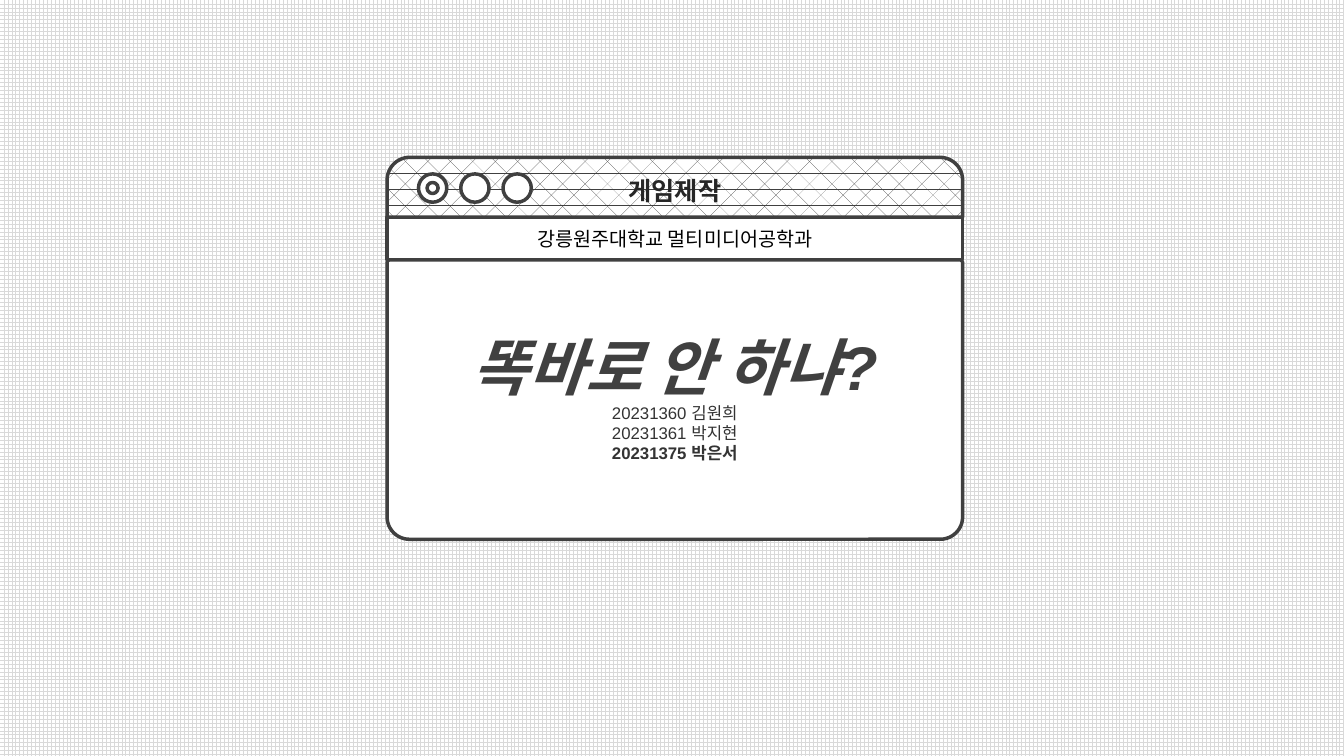
from pptx import Presentation
from pptx.dml.color import RGBColor
from pptx.enum.dml import MSO_PATTERN as PATTERN
from pptx.enum.shapes import MSO_SHAPE as SHAPE
from pptx.enum.text import MSO_ANCHOR as ANCHOR, PP_ALIGN as ALIGN
from pptx.util import Pt

COLORS = {"outline": "404040", "paper": "FFFFFF", "grid": "D9D9D9",
          "course": "262626", "member": "333333", "department": "000000"}
COURSE = "게임제작"
DEPARTMENT = "강릉원주대학교 멀티미디어공학과"
TEAM = "똑바로 안 하냐?"
MEMBERS = [("20231360 김원희", False), ("20231361 박지현", False), ("20231375 박은서", True)]

WINDOW_LEFT, WINDOW_WIDTH = 276.5, 411.1
BAR_TOP, BAND_TOP, PAGE_TOP, PAGE_BOTTOM = 112.4, 155.2, 185.6, 385.2
BUTTON_LEFT, BUTTON_TOP, BUTTON_SIZE, BUTTON_PITCH = 298.9, 124.2, 20.2, 30.2
BUTTON_COUNT, DOT_SIZE = 3, 7.9
PAGE_INSET = 31.2


def color(key):
    """Return the named colour."""
    return RGBColor.from_string(COLORS[key])


def add_outlined(slide, kind, left, top, width, height, corners=()):
    """Add a white shape with the thick dark outline."""
    shape = slide.shapes.add_shape(kind, Pt(left), Pt(top), Pt(width), Pt(height))
    for index, corner in enumerate(corners):
        shape.adjustments[index] = corner
    shape.shadow.inherit = False
    shape.fill.solid()
    shape.fill.fore_color.rgb = color("paper")
    shape.line.color.rgb = color("outline")
    shape.line.width = Pt(2.5)
    return shape


def set_pattern(fill, pattern, ink):
    """Fill with a pattern drawn on white."""
    fill.patterned()
    fill.pattern = pattern
    fill.fore_color.rgb = color(ink)
    fill.back_color.rgb = color("paper")


def write(shape, text, size, ink, bold=False, italic=False, spacing=None):
    """Write a centred paragraph after any text already in the shape."""
    frame = shape.text_frame
    frame.word_wrap = True
    frame.vertical_anchor = ANCHOR.MIDDLE
    paragraph = frame.add_paragraph() if frame.text else frame.paragraphs[0]
    paragraph.alignment = ALIGN.CENTER
    if spacing:
        paragraph.line_spacing = spacing
    run = paragraph.add_run()
    run.text = text
    font = run.font
    font.name, font.size, font.bold, font.italic = "Arial", Pt(size), bold, italic
    font.color.rgb = color(ink)


def main():
    """Build the title slide."""
    deck = Presentation()
    deck.slide_width, deck.slide_height = Pt(960), Pt(540)
    slide = deck.slides.add_slide(deck.slide_layouts[6])
    set_pattern(slide.background.fill, PATTERN.LARGE_GRID, "grid")

    page = add_outlined(slide, SHAPE.ROUND_2_SAME_RECTANGLE, WINDOW_LEFT, PAGE_TOP,
                        WINDOW_WIDTH, PAGE_BOTTOM - PAGE_TOP, (0.01, 0.08))
    page.text_frame.margin_bottom = Pt(PAGE_INSET)
    write(page, TEAM, 44, "outline", bold=True, italic=True, spacing=1.5)
    for member, bold in MEMBERS:
        write(page, member, 12, "member", bold=bold)

    band = add_outlined(slide, SHAPE.RECTANGLE, WINDOW_LEFT, BAND_TOP,
                        WINDOW_WIDTH, PAGE_TOP - BAND_TOP)
    write(band, DEPARTMENT, 14, "department")

    bar = add_outlined(slide, SHAPE.ROUND_2_SAME_RECTANGLE, WINDOW_LEFT, BAR_TOP,
                       WINDOW_WIDTH, BAND_TOP - BAR_TOP, (0.38, 0))
    set_pattern(bar.fill, PATTERN.DIVOT, "outline")
    write(bar, COURSE, 18, "course", bold=True)

    for index in range(BUTTON_COUNT):
        add_outlined(slide, SHAPE.OVAL, BUTTON_LEFT + index * BUTTON_PITCH, BUTTON_TOP,
                     BUTTON_SIZE, BUTTON_SIZE)
    dot_inset = (BUTTON_SIZE - DOT_SIZE) / 2
    add_outlined(slide, SHAPE.OVAL, BUTTON_LEFT + dot_inset, BUTTON_TOP + dot_inset,
                 DOT_SIZE, DOT_SIZE)

    deck.save("out.pptx")


if __name__ == "__main__":
    main()
